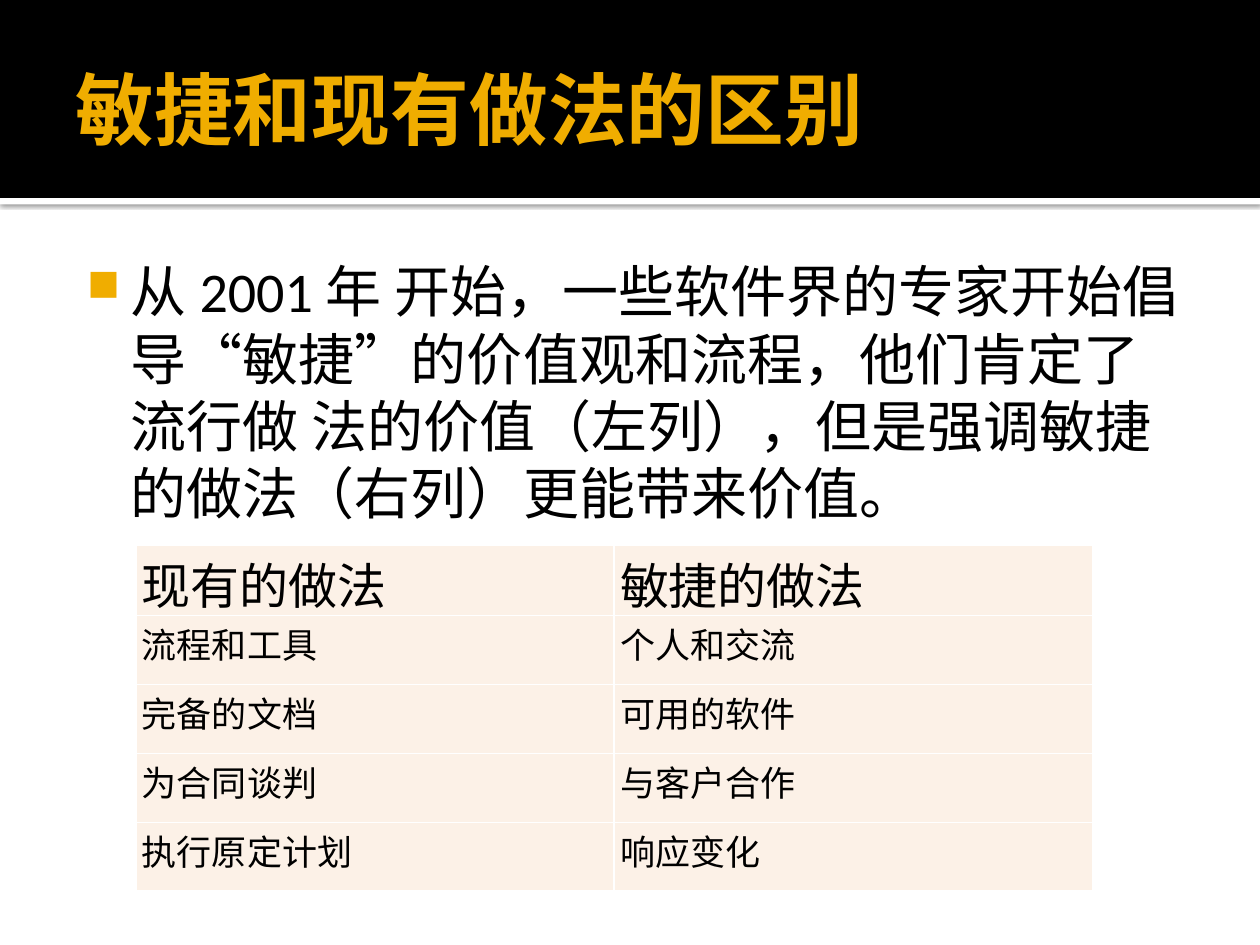
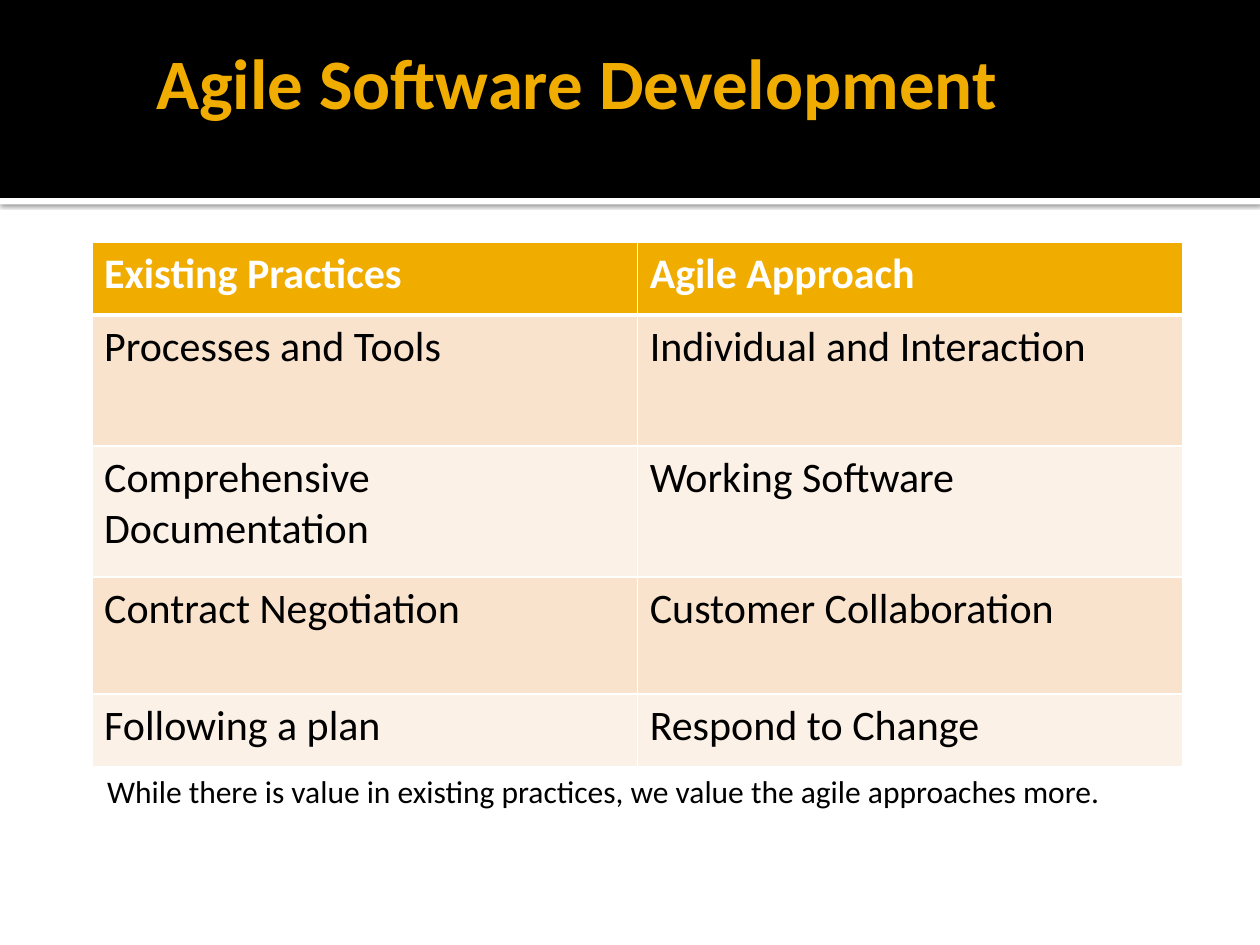
from dataclasses import dataclass

from lxml import etree
from pptx import Presentation
from pptx import util as u
from pptx.dml import color
from pptx.enum import shapes, text
from pptx.oxml import ns


@dataclass(frozen=True)
class Theme:
    font: str = "Calibri"
    gold: str = "F0AD00"
    black: str = "000000"
    white: str = "FFFFFF"
    pale: str = "FCF1E7"
    peach: str = "F9E3CC"
    head: float = 45
    subhead: float = 40.5
    body: float = 32
    lead: float = 28
    cell: float = 24
    small: float = 20
    note: float = 18


def apply(obj, vals):
    for key, val in vals.items():
        setattr(obj, key, val)


def rgb(code):
    return color.RGBColor.from_string(code)


def node(root, tag, **vals):
    return etree.SubElement(root, ns.qn(tag), {k: str(v) for k, v in vals.items()})


def pads(left, top, right, low):
    names = ("margin_left", "margin_top", "margin_right", "margin_bottom")
    return dict(zip(names, map(u.Cm, (left, top, right, low))))


def place(left, top, width, height):
    return dict(zip(("left", "top", "width", "height"), map(u.Cm, (left, top, width, height))))


class Deck:
    def __init__(self, theme):
        self.theme = theme
        self.show = Presentation()
        apply(self.show, {"slide_width": u.Cm(25.4), "slide_height": u.Cm(19.05)})
        self.plan = self.show.slide_layouts[5]
        self.slide = None

    def start(self):
        self.slide = self.show.slides.add_slide(self.plan)

    def label(self, para, words, size, tint, bold=False):
        run = para.add_run()
        run.text = words
        apply(run.font, {"name": self.theme.font, "size": u.Pt(size), "bold": bold})
        run.font.color.rgb = rgb(tint)

    def band(self, top, height, tint, depth, shade=False):
        bar = self.slide.shapes.add_shape(
            shapes.MSO_SHAPE.RECTANGLE, **place(0, top, 25.4, height))
        bar.shadow.inherit = False
        bar.fill.solid()
        bar.fill.fore_color.rgb = rgb(tint)
        bar.line.fill.background()
        if shade:
            glow = node(bar.element.spPr.find(ns.qn("a:effectLst")), "a:outerShdw",
                        blurRad=u.Pt(2.5), dist=u.Pt(0.8), dir=5400000, rotWithShape=0)
            node(node(glow, "a:srgbClr", val=self.theme.black), "a:alpha", val=60000)
        self.plan.shapes.element.insert(2 + depth, bar.element)

    def title(self, words, size, spot):
        box = self.slide.shapes.title
        apply(box, place(*spot))
        apply(box.text_frame, {
            **pads(0.25, 0.13, 0.13, 0.13), "word_wrap": True,
            "auto_size": text.MSO_AUTO_SIZE.NONE,
            "vertical_anchor": text.MSO_ANCHOR.MIDDLE})
        para = box.text_frame.paragraphs[0]
        para.alignment = text.PP_ALIGN.LEFT
        self.label(para, words, size, self.theme.gold, True)

    def words(self, words, size, spot, inset, bullet=False):
        box = self.slide.shapes.add_textbox(**place(*spot))
        apply(box.text_frame, {**pads(*inset), "word_wrap": True})
        para = box.text_frame.paragraphs[0]
        if bullet:
            props = para._p.get_or_add_pPr()
            props.set("marL", str(u.Cm(1.22)))
            props.set("indent", str(u.Cm(-0.89)))
            node(node(props, "a:buClr"), "a:srgbClr", val=self.theme.gold)
            node(props, "a:buSzPct", val=80000)
            node(props, "a:buChar", char="■")
        self.label(para, words, size, self.theme.black)

    def edge(self, cell, low):
        props = cell._tc.get_or_add_tcPr()
        for side in "LRTB":
            line = node(props, f"a:ln{side}", w=u.Pt(low if side == "B" else 1))
            node(node(line, "a:solidFill"), "a:srgbClr", val=self.theme.white)

    def table(self, rows, spot, width, heights, inset, styles):
        grid = self.slide.shapes.add_table(
            len(rows), len(rows[0]),
            **place(*spot, width * len(rows[0]), sum(heights))).table
        apply(grid, {"first_row": False, "horz_banding": False})
        for col in grid.columns:
            col.width = u.Cm(width)
        for row, high, items, style in zip(grid.rows, heights, rows, styles):
            row.height = u.Cm(high)
            fill, size, tint, bold, low = style
            for cell, item in zip(row.cells, items):
                apply(cell, pads(*inset))
                self.edge(cell, low)
                cell.fill.solid()
                cell.fill.fore_color.rgb = rgb(fill)
                self.label(cell.text_frame.paragraphs[0], item, size, tint, bold)


def main():
    look = Theme()
    deck = Deck(look)

    deck.start()
    deck.band(3.99, 0.13, look.white, 0, True)
    deck.band(0, 3.99, look.black, 1)
    deck.title("敏捷和现有做法的区别", look.head, (1.27, 0.43, 22.86, 3.48))
    deck.words(
        "从 2001 年 开始，一些软件界的专家开始倡导“敏捷”的价值观和流程，"
        "他们肯定了流行做 法的价值（左列），但是强调敏捷的做法（右列）更能带来价值。",
        look.body, (1.27, 4.93, 22.86, 12.85), (0.15, 0.25, 0.25, 0.13), True)
    rows = [("现有的做法", "敏捷的做法"),
            ("流程和工具", "个人和交流"),
            ("完备的文档", "可用的软件"),
            ("为合同谈判", "与客户合作"),
            ("执行原定计划", "响应变化")]
    plain = (look.pale, look.small, look.black, False, 1)
    lead = (look.pale, look.lead, look.black, False, 1)
    deck.table(rows, (2.74, 11), 9.64, [1.41] + [1.39] * 4,
               (0.12, 0.04, 0, 0), [lead] + [plain] * 4)

    deck.start()
    deck.title("Agile Software Development", look.subhead, (2.9, 0.74, 19.51, 1.8))
    rows = [("Existing Practices", "Agile Approach"),
            ("Processes and Tools", "Individual and Interaction"),
            ("Comprehensive Documentation", "Working Software"),
            ("Contract Negotiation", "Customer Collaboration"),
            ("Following a plan", "Respond to Change")]
    inset = (0.25, 0.13, 0.25, 0.13)
    head = (look.gold, look.cell, look.white, True, 3)
    pair = [(fill, look.cell, look.black, False, 1) for fill in (look.peach, look.pale)]
    deck.table(rows, (1.85, 4.88), 11, [1.47, 2.64, 2.64, 2.36, 1.47],
               inset, [head] + pair * 2)
    deck.words("While there is value in existing practices, we value the agile approaches more.",
               look.note, (1.91, 15.44, 22.43, 1.8), inset)

    deck.show.save("out.pptx")


if __name__ == "__main__":
    main()
